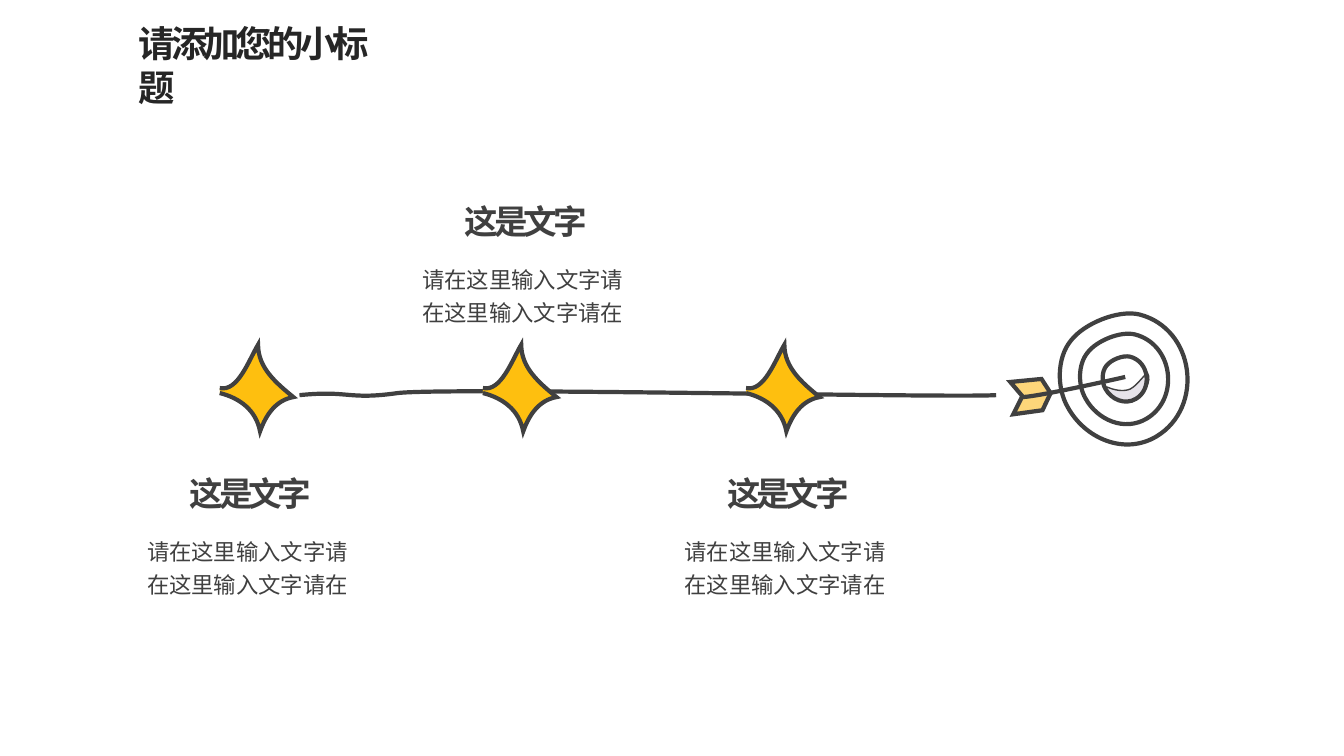
from math import cos, radians, sin

from lxml.etree import SubElement
from pptx import Presentation
from pptx.dml.color import RGBColor
from pptx.enum.text import MSO_AUTO_SIZE, PP_ALIGN
from pptx.oxml.ns import qn
from pptx.util import Inches, Pt

INK = RGBColor(0x40, 0x40, 0x40)
DARK = RGBColor(0x26, 0x26, 0x26)
GOLD = RGBColor(0xFE, 0xBF, 0x0F)
PALE = RGBColor(0xFD, 0xD6, 0x7A)
GREY = RGBColor(0xE7, 0xE4, 0xEA)
FONT = "Noto Sans CJK SC"
STEPS = 20
TILT = 34.8

TITLE = {"size": Pt(26), "bold": True, "color": DARK, "spc": -300}
HEAD = {"size": Pt(24), "bold": True, "spc": -300,
        "para": {"alignment": PP_ALIGN.CENTER}}
BODY = {"size": Pt(16), "para": {"line_spacing": 1.25}}

# Each outline is a start point, then lines (2 numbers) or curves (6 numbers).
ROAD = [(2.97, 3.92), (3.47, 3.87, 3.44, 3.97, 3.94, 3.9),
        (4.4, 3.84, 9.43, 3.95, 9.88, 3.92)]
STAR = [(0, 0.43), (0.18, 0.47, 0.29, 0.15, 0.38, 0),
        (0.38, 0.23, 0.56, 0.38, 0.73, 0.52),
        (0.56, 0.55, 0.46, 0.69, 0.4, 0.86),
        (0.36, 0.65, 0.2, 0.53, 0, 0.48)]
RING = [(-0.57, 0.28), (-0.4, 0.59, -0.01, 0.76, 0.31, 0.57),
        (0.79, 0.28, 0.69, -0.5, 0.14, -0.64),
        (-0.07, -0.69, -0.41, -0.55, -0.54, -0.38),
        (-0.68, -0.21, -0.68, 0.09, -0.57, 0.28)]
SHADE = [(10.97, 3.85), (10.97, 3.9, 11.06, 3.95, 11.09, 3.97),
         (11.15, 3.99, 11.22, 3.98, 11.27, 3.95),
         (11.34, 3.91, 11.43, 3.78, 11.38, 3.7),
         (11.32, 3.75, 11.28, 3.82, 11.21, 3.86),
         (11.14, 3.89, 11.05, 3.87, 10.98, 3.84)]
VANE = [(10.14, 3.93), (10.02, 3.79), (10.33, 3.76),
        (10.42, 3.9), (10.34, 4.07), (10.05, 4.11)]
SHAFT = [(11.16, 3.74), (11.16, 3.74, 10.33, 3.93, 10.14, 3.94)]


def pairs(seg):
    """Split a flat segment into its points."""
    return list(zip(seg[::2], seg[1::2]))


def turn(point, angle):
    """Turn a point clockwise about the slide's corner."""
    x, y = point
    a = radians(angle)
    return x * cos(a) - y * sin(a), x * sin(a) + y * cos(a)


def trace(path):
    """Sample an outline to find its true extent."""
    points = list(path[0])
    for seg in path[1:]:
        if len(seg) == 1:
            points += seg
            continue
        knots = [points[-1]] + seg
        for i in range(1, STEPS + 1):
            t = i / STEPS
            u = 1 - t
            mix = (u**3, 3 * u * u * t, 3 * u * t * t, t**3)
            points.append(tuple(sum(m * p[k] for m, p in zip(mix, knots))
                                for k in (0, 1)))
    return points


class Deck:
    """Holds the house style and the current slide."""

    def __init__(self):
        """Open a wide deck with one blank slide."""
        self.file = Presentation()
        self.file.slide_width = Inches(13.33)
        self.file.slide_height = Inches(7.5)
        self.slide = self.file.slides.add_slide(self.file.slide_layouts[6])

    def text(self, words, left, top, width, height, style):
        """Add a text box that grows with its words."""
        box = self.slide.shapes.add_textbox(
            Inches(left), Inches(top), Inches(width), Inches(height))
        frame = box.text_frame
        frame.word_wrap = True
        frame.auto_size = MSO_AUTO_SIZE.SHAPE_TO_FIT_TEXT
        para = frame.paragraphs[0]
        for name, value in style.get("para", {}).items():
            setattr(para, name, value)
        run = para.add_run()
        run.text = words
        for name in ("size", "bold"):
            setattr(run.font, name, style.get(name))
        run.font.name = FONT
        run.font.color.rgb = style.get("color", INK)
        props = run.font._element
        SubElement(props, qn("a:ea")).set("typeface", FONT)
        if "spc" in style:
            props.set("spc", str(style["spc"]))

    def draw(self, path, fill=None, width=3, close=False,
             at=(0, 0), scale=1, angle=0):
        """Add a curved outline, scaled, moved and held at an angle."""
        local = [[turn((at[0] + scale * x, at[1] + scale * y), -angle)
                  for x, y in pairs(seg)] for seg in path]
        points = [(Inches(x), Inches(y)) for x, y in trace(local)]
        pen = self.slide.shapes.build_freeform(*points[0])
        pen.add_line_segments(points[1:], close=close)
        shape = pen.convert_to_shape()
        self.bend(shape, local, close)
        mid = turn((shape.left + shape.width / 2,
                    shape.top + shape.height / 2), angle)
        shape.left = int(mid[0] - shape.width / 2)
        shape.top = int(mid[1] - shape.height / 2)
        shape.rotation = angle
        shape.shadow.inherit = False
        if fill is None:
            shape.fill.background()
        else:
            shape.fill.solid()
            shape.fill.fore_color.rgb = fill
        shape.line.color.rgb = INK
        shape.line.width = Pt(width)
        edge = shape.line._get_or_add_ln()
        SubElement(edge, qn("a:miter")).set("lim", "800000")
        return shape

    def bend(self, shape, local, close):
        """Write the outline's lines and true curves into a shape."""
        track = next(shape._element.iter(qn("a:path")))
        for node in list(track):
            track.remove(node)
        tags = {1: "a:lnTo", 3: "a:cubicBezTo"}
        for i, seg in enumerate(local):
            node = SubElement(track, qn(tags[len(seg)] if i else "a:moveTo"))
            for x, y in seg:
                dot = SubElement(node, qn("a:pt"))
                dot.set("x", str(Inches(x) - shape.left))
                dot.set("y", str(Inches(y) - shape.top))
        if close:
            SubElement(track, qn("a:close"))

    def goal(self):
        """Add the target with its arrow as one group."""
        parts = [self.draw(SHADE, GREY, 1, close=True, angle=TILT)]
        for scale in (1, 0.69, 0.345):
            parts.append(self.draw(RING, close=True, at=(11.16, 3.76),
                                   scale=scale, angle=TILT))
        parts.append(self.draw(VANE, PALE, close=True, angle=TILT))
        parts.append(self.draw(SHAFT, angle=TILT))
        self.slide.shapes.add_group_shape(parts)

    def note(self, left, top):
        """Add a heading with its body text below."""
        self.text("这是文字", left + 0.3, top, 1.65, 0.5, HEAD)
        self.text("请在这里输入文字请在这里输入文字请在",
                  left, top + 0.58, 2.25, 0.74, BODY)


deck = Deck()
deck.text("请添加您的小标题", 1.28, 0.16, 2.75, 0.54, TITLE)
deck.draw(ROAD, angle=105)
deck.goal()
for step in range(3):
    deck.draw(STAR, GOLD, at=(2.18 + 2.61 * step, 3.42))
for left, top in ((1.36, 4.64), (4.09, 1.94), (6.69, 4.64)):
    deck.note(left, top)
deck.file.save("out.pptx")
